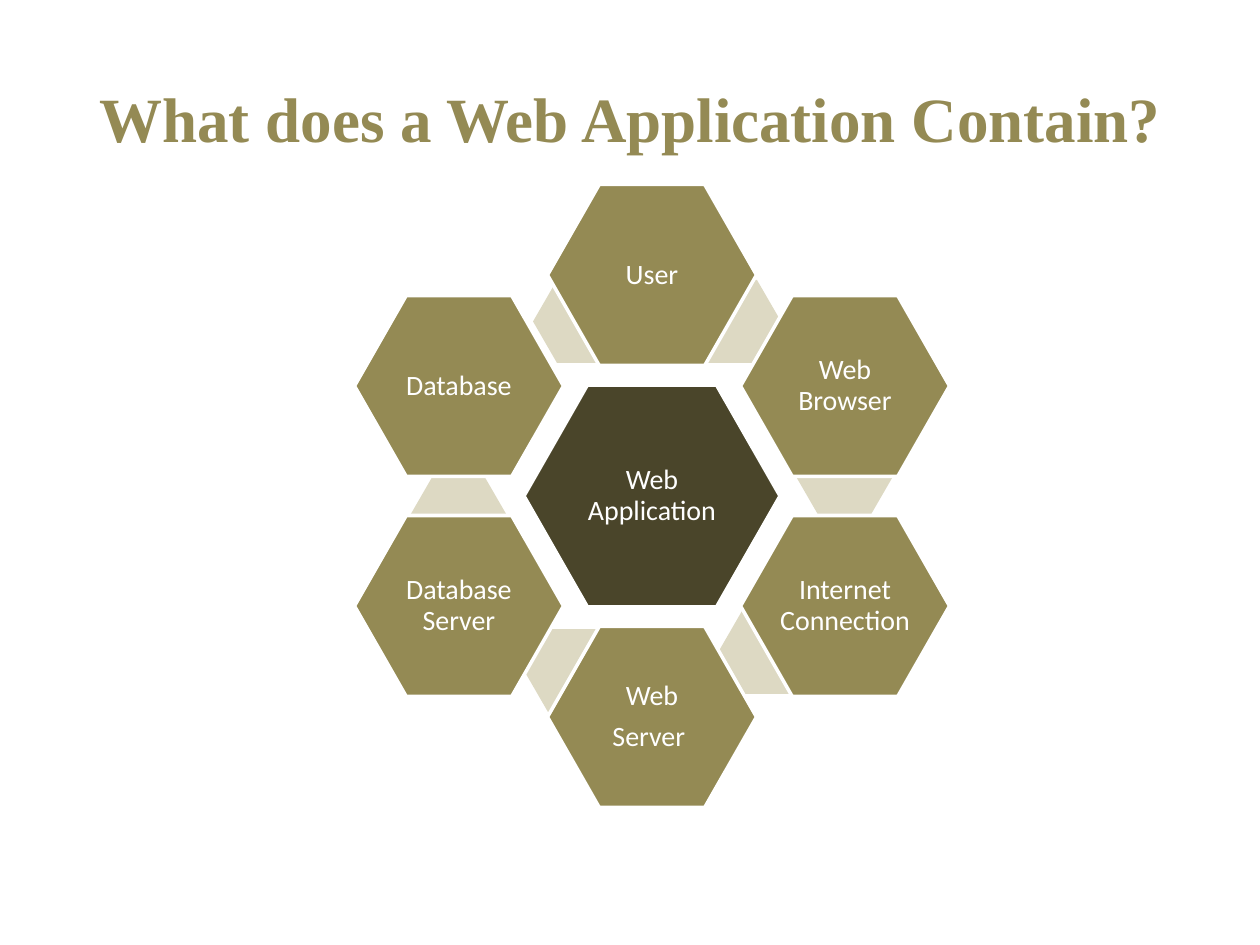
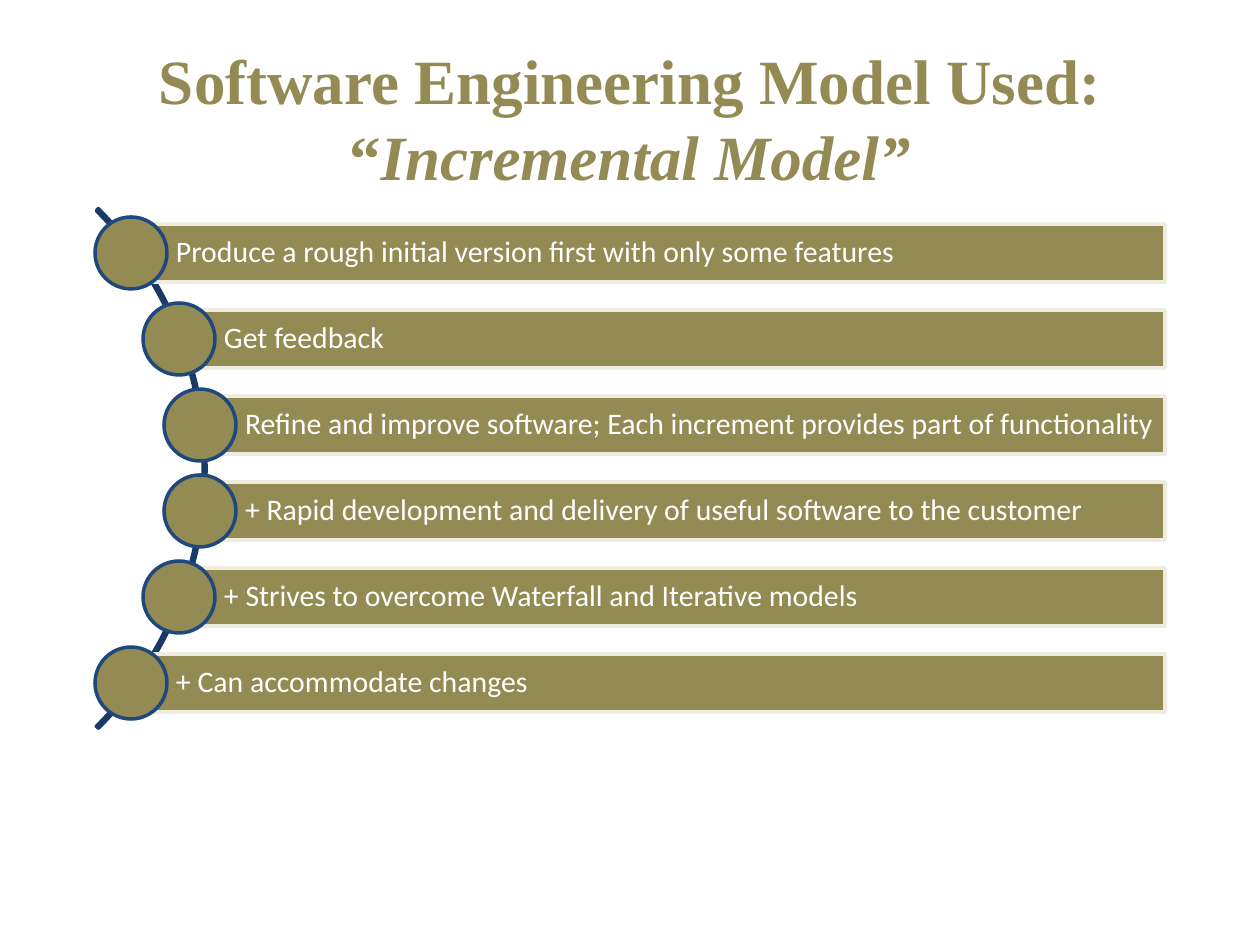
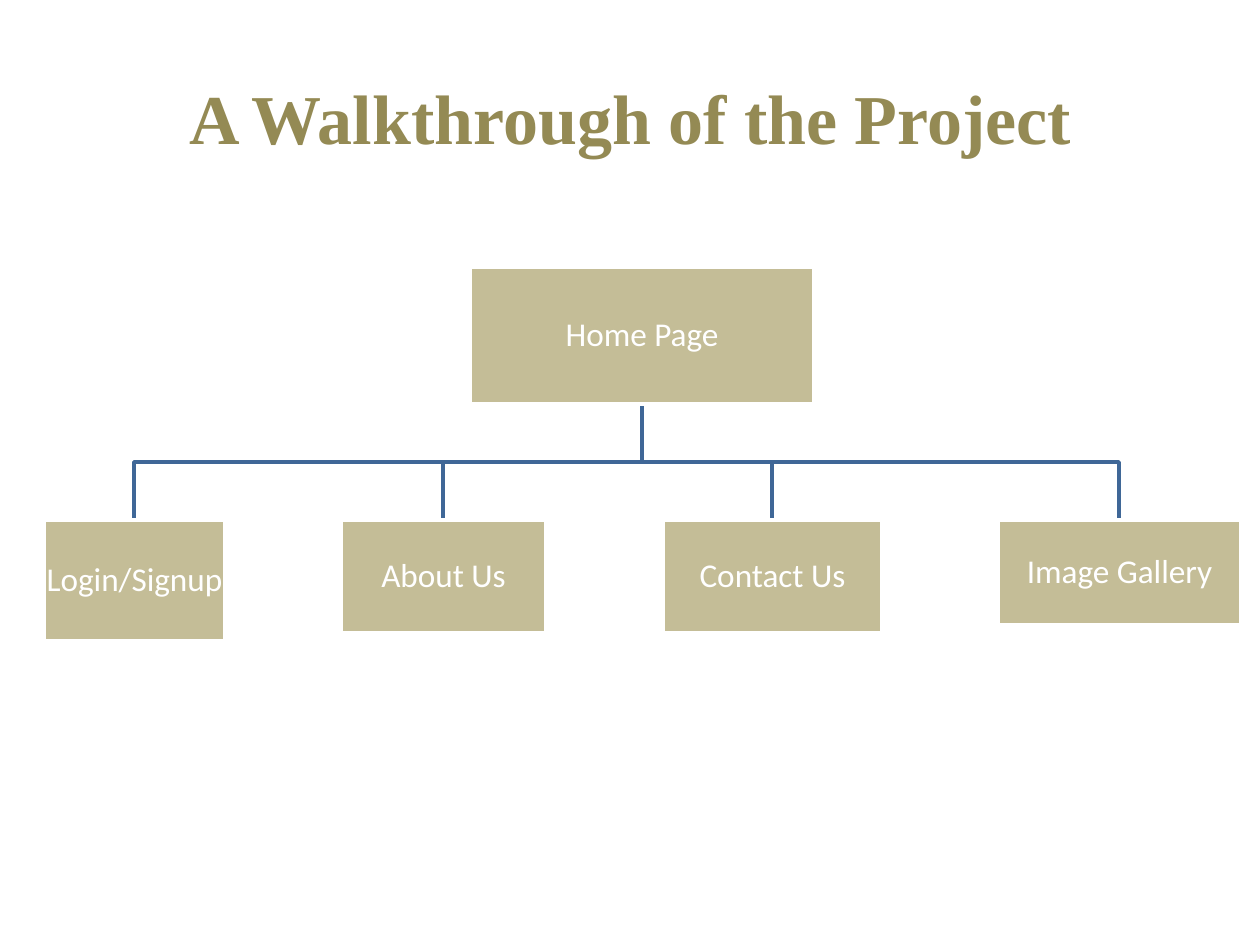
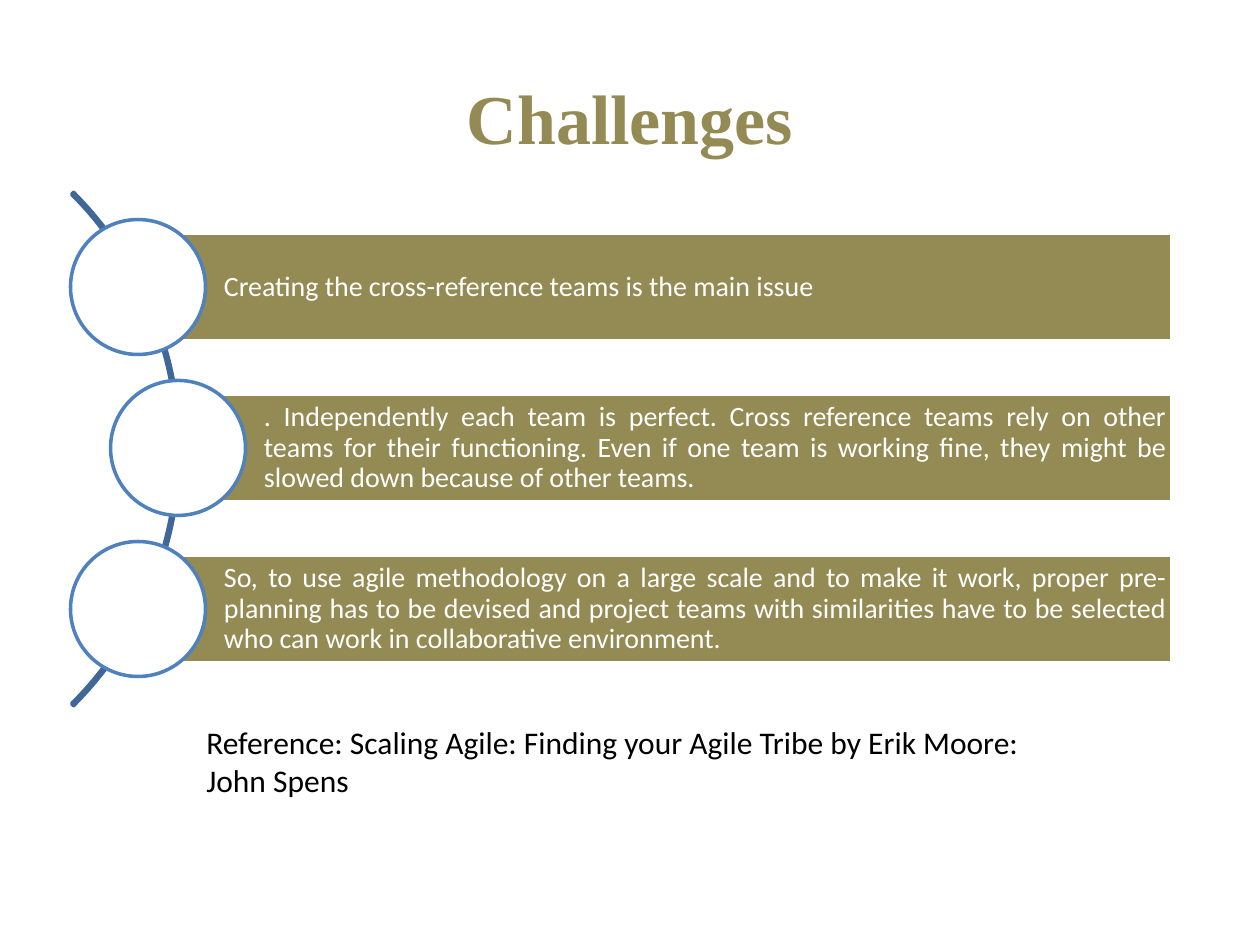
from dataclasses import dataclass

from pptx import Presentation
from pptx.dml.color import RGBColor
from pptx.enum import shapes, text
from pptx import util as u

PX = 914400 / 126  # EMU in one px
WIDTH, HEIGHT = 1260, 945
Kind = shapes.MSO_SHAPE
Align = text.PP_ALIGN


def emu(px):
    return u.Emu(round(px * PX))


@dataclass(frozen=True)
class Theme:
    heading_font: str = "Times New Roman"
    body_font: str = "Calibri"
    olive: str = "948A54"
    olive_dark: str = "4A452A"
    olive_soft: str = "C4BD97"
    olive_pale: str = "DDD9C3"
    cream: str = "EEECE1"
    white: str = "FFFFFF"
    black: str = "000000"
    navy: str = "193A64"
    navy_ring: str = "1F497D"
    steel: str = "3F6797"
    blue: str = "4F81BD"
    title_large: int = 40
    title_small: int = 36
    page_name: int = 19
    reference: int = 18
    step: int = 17
    body: int = 16
    line: int = 2
    line_spacing: float = 0.9
    space_after: float = 0.35  # share of the type size


class Deck:
    """Holds the theme and the slide being drawn."""

    def __init__(self, theme):
        self.theme = theme
        self.prs = Presentation()
        self.prs.slide_width, self.prs.slide_height = emu(WIDTH), emu(HEIGHT)
        self.slide = None

    def new_slide(self, title, size, emphasis=""):
        self.slide = self.prs.slides.add_slide(self.prs.slide_layouts[6])
        frame = self.text_box(63, 38, 1134, 158)
        frame.vertical_anchor = text.MSO_ANCHOR.MIDDLE
        heading = frame.paragraphs[0]
        heading.alignment = Align.CENTER
        for words, italic in ((title, None), (emphasis, True)):
            if words:
                self.run(heading, words, size, self.theme.olive,
                         self.theme.heading_font, bold=True, italic=italic)

    def run(self, paragraph, words, size, colour, font=None, bold=None, italic=None):
        run = paragraph.add_run()
        run.text = words
        run.font.name = font or self.theme.body_font
        run.font.size = u.Pt(size)
        run.font.bold, run.font.italic = bold, italic
        run.font.color.rgb = RGBColor.from_string(colour)

    def text_box(self, x, y, width, height):
        frame = self.slide.shapes.add_textbox(*map(emu, (x, y, width, height))).text_frame
        frame.word_wrap = True
        return frame

    def paint(self, shape, fill, line):
        shape.shadow.inherit = False
        if fill:
            shape.fill.solid()
            shape.fill.fore_color.rgb = RGBColor.from_string(fill)
        else:
            shape.fill.background()
        if line:
            shape.line.color.rgb = RGBColor.from_string(line)
            shape.line.width = u.Pt(self.theme.line)
        else:
            shape.line.fill.background()

    def shape(self, kind, x, y, width, height, fill=None, line=None, adjust=()):
        shape = self.slide.shapes.add_shape(kind, *map(emu, (x, y, width, height)))
        for i, value in enumerate(adjust):
            shape.adjustments[i] = value
        self.paint(shape, fill, line)
        return shape

    def label(self, shape, lines, size, align=Align.CENTER, inset=2, left_inset=None):
        frame = shape.text_frame
        frame.word_wrap = True
        frame.vertical_anchor = text.MSO_ANCHOR.MIDDLE
        frame.margin_top = frame.margin_right = frame.margin_bottom = emu(inset)
        frame.margin_left = emu(left_inset or inset)
        for i, words in enumerate(lines):
            paragraph = frame.add_paragraph() if i else frame.paragraphs[0]
            paragraph.alignment = align
            paragraph.line_spacing = self.theme.line_spacing
            paragraph.space_after = u.Pt(size * self.theme.space_after)
            self.run(paragraph, words, size, self.theme.white)

    def hexagon(self, centre_x, centre_y, width, height, fill, lines):
        cell = self.shape(Kind.HEXAGON, centre_x - width / 2, centre_y - height / 2,
                          width, height, fill, self.theme.white, (0.286,))
        self.label(cell, lines, self.theme.body)

    def arc(self, x, y, diameter, fill, line):
        self.shape(Kind.BLOCK_ARC, x, y, diameter, diameter, fill, line, (189, 27, 0.004))

    def bar(self, centre_x, centre_y, right, height, words, size, line, align, inset, left_inset):
        bar = self.shape(Kind.RECTANGLE, centre_x, centre_y - height / 2,
                         right - centre_x, height, self.theme.olive, line)
        self.label(bar, [words], size, align, inset, left_inset)

    def disc(self, centre_x, centre_y, diameter, fill, line):
        self.shape(Kind.OVAL, centre_x - diameter / 2, centre_y - diameter / 2,
                   diameter, diameter, fill, line)

    def page_box(self, x, y, width, height, name):
        box = self.shape(Kind.RECTANGLE, x, y, width, height,
                         self.theme.olive_soft, self.theme.white)
        self.label(box, [name], self.theme.page_name, inset=1)

    def branch(self, points):
        builder = self.slide.shapes.build_freeform(*points[0], scale=PX)
        builder.add_line_segments(points[1:], close=False)
        self.paint(builder.convert_to_shape(), None, self.theme.steel)


def contents_slide(deck):
    theme = deck.theme
    deck.new_slide("What does a Web Application Contain?", theme.title_small)

    # Pale bridges between neighbouring parts
    for x, y in ((533, 280), (684, 280), (796, 435), (718, 611), (524, 629), (410, 474)):
        deck.shape(Kind.HEXAGON, x, y, 97, 83, theme.olive_pale, adjust=(0.289,))

    # Core and the ring of parts, clockwise from the top
    core_x, core_y = 652, 496
    side, near, far = 193, 110, 221
    deck.hexagon(core_x, core_y, 256, 222, theme.olive_dark, ["Web Application"])
    parts = (
        (0, -far, ["User"]),
        (side, -near, ["Web Browser"]),
        (side, near, ["Internet Connection"]),
        (0, far, ["Web", "Server "]),
        (-side, near, ["Database Server"]),
        (-side, -near, ["Database"]),
    )
    for dx, dy, lines in parts:
        deck.hexagon(core_x + dx, core_y + dy, 209, 181, theme.olive, lines)


def model_slide(deck):
    theme = deck.theme
    deck.new_slide("Software Engineering Model Used: “", theme.title_small,
                   "Incremental Model”")
    deck.arc(-529, 101, 735, theme.olive, theme.navy)
    steps = (
        (131, "Produce a rough initial version first with only some features"),
        (179, "Get feedback"),
        (200, "Refine and improve software; Each increment provides part of functionality"),
        (200, "+ Rapid development and delivery of useful software to the customer"),
        (179, "+ Strives to overcome Waterfall and Iterative models"),
        (131, "+ Can accommodate changes"),
    )
    for i, (x, words) in enumerate(steps):
        y = 253 + 86 * i
        deck.bar(x, y, 1165, 58, words, theme.step, theme.cream, Align.LEFT, 6, 45)
        deck.disc(x, y, 72, theme.olive, theme.navy_ring)


def walkthrough_slide(deck):
    deck.new_slide("A Walkthrough of the Project", deck.theme.title_large)
    home_x, home_bottom, fork_y, pages_top = 642, 404, 462, 520
    pages = (
        (44, 181, 121, "Login/Signup"),
        (341, 205, 113, "About Us"),
        (663, 219, 113, "Contact Us"),
        (998, 243, 105, "Image Gallery"),
    )
    # Branches lie behind the boxes
    for x, width, _, _ in pages:
        page_x = x + width // 2
        deck.branch([(home_x, home_bottom), (home_x, fork_y),
                     (page_x, fork_y), (page_x, pages_top)])
    deck.page_box(470, 267, 344, 137, "Home Page")
    for x, width, height, name in pages:
        deck.page_box(x, pages_top, width, height, name)


def challenges_slide(deck):
    theme = deck.theme
    deck.new_slide("Challenges", theme.title_large)
    deck.arc(-546, 86, 726, None, theme.steel)
    challenges = (
        (138, Align.LEFT, "Creating the cross-reference teams is the main issue"),
        (178, Align.JUSTIFY,
         ". Independently each team is perfect. Cross reference teams rely on other teams "
         "for their functioning. Even if one team is working fine, they might be slowed "
         "down because of other teams."),
        (138, Align.JUSTIFY,
         "So, to use agile methodology on a large scale and to make it work, proper "
         "pre-planning has to be devised and project teams with similarities have to be "
         "selected who can work in collaborative environment."),
    )
    for i, (x, align, words) in enumerate(challenges):
        y = 287 + 161 * i
        deck.bar(x, y, 1172, 107, words, theme.body, theme.white, align, 5, 86)
        deck.disc(x, y, 135, theme.white, theme.blue)

    # Reference under the list
    reference = deck.text_box(194, 717, 893, 89)
    reference.auto_size = text.MSO_AUTO_SIZE.SHAPE_TO_FIT_TEXT
    deck.run(reference.paragraphs[0],
             "Reference: Scaling Agile: Finding your Agile Tribe by Erik Moore: John Spens",
             theme.reference, theme.black)


def main():
    deck = Deck(Theme())
    for build in (contents_slide, model_slide, walkthrough_slide, challenges_slide):
        build(deck)
    deck.prs.save("out.pptx")


if __name__ == "__main__":
    main()
